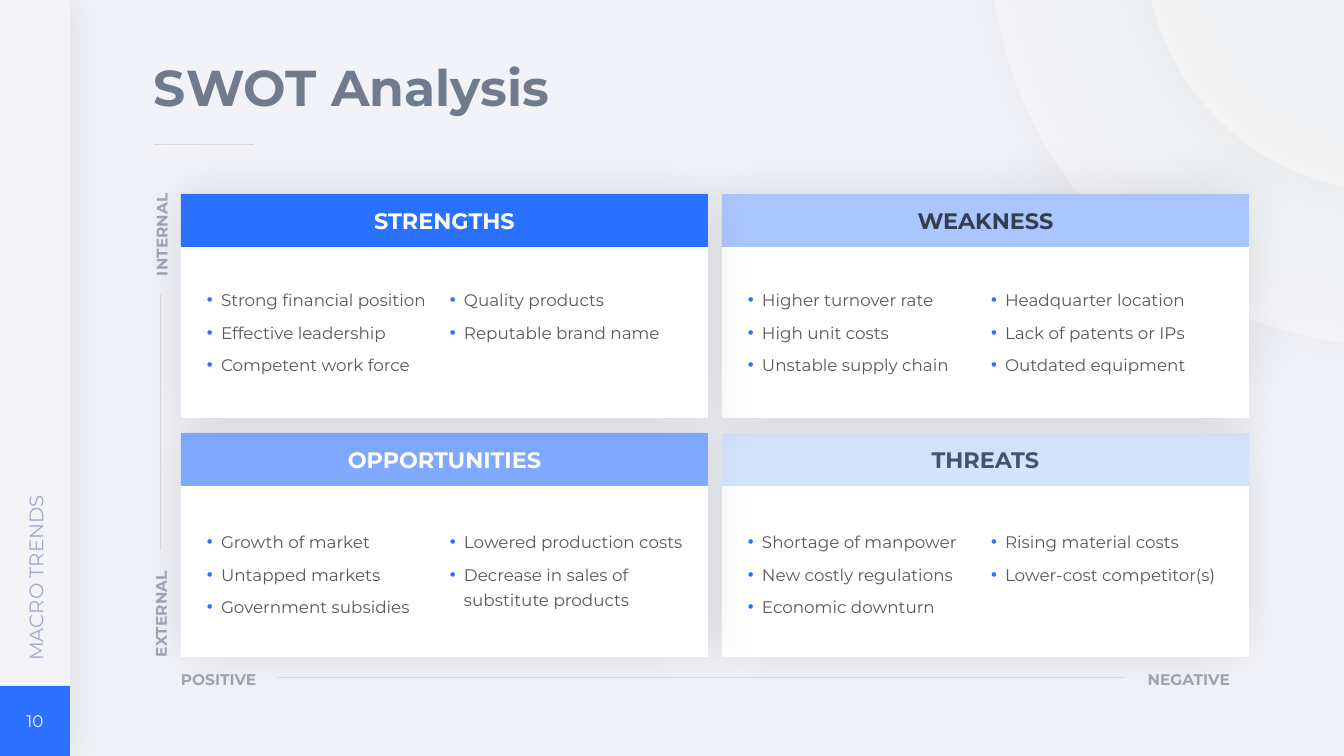
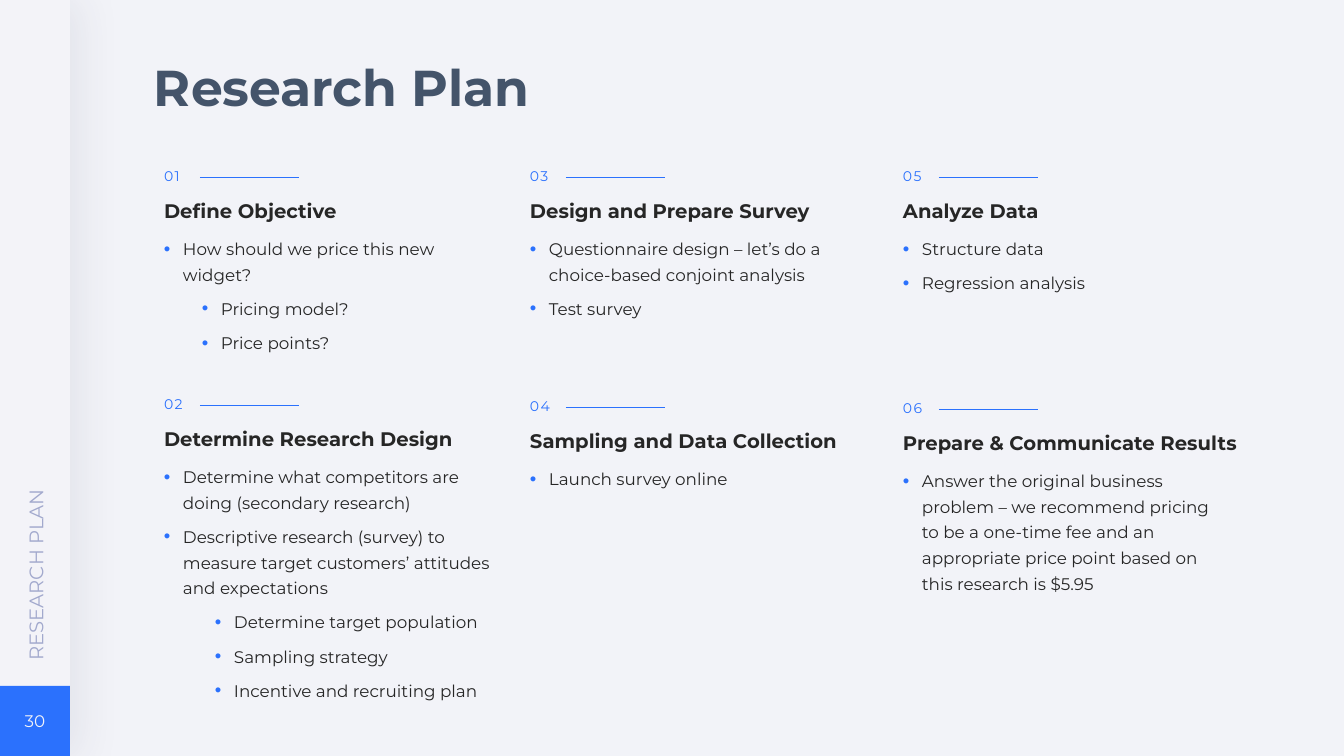
from lxml.etree import SubElement
from pptx import Presentation
from pptx.dml.color import RGBColor
from pptx.enum.shapes import MSO_CONNECTOR, MSO_SHAPE
from pptx.enum.text import MSO_ANCHOR, PP_ALIGN
from pptx.oxml.ns import qn
from pptx.util import Emu, Pt

# Shared style
EMU_PER_PX = 914400 / 100.8
SLIDE_SIZE = (1344, 756)
FONT = "Montserrat"
BACKGROUND, SIDEBAR, WHITE = "F2F3F8", "F3F3F8", "FFFFFF"
BLUE, SECTION_COLOR, RULE, AXIS = "2B71FD", "A2A9CD", "D9D9D9", "9BA3B1"
SLATE, INK, BODY = "44546A", "262626", "595959"
SIDEBAR_WIDTH = 70
# Shadows: colour, opacity %, blur pt, distance pt, direction in degrees
SIDEBAR_SHADOW = ("2B3150", 7, 30, 7, 0)
CARD_SHADOW = ("000000", 10, 40, 3, 225)
RING_SHADOW = ("000000", 10, 60, 0, 0)
FLAT = (0, 5, 0, 5)
LEFT, CENTER, RIGHT = PP_ALIGN.LEFT, PP_ALIGN.CENTER, PP_ALIGN.RIGHT

# SWOT content: column, row, title, header colour, title colour, two lists
CARDS = [
    (1, 1, "THREATS", "D5E3FF", SLATE,
     (["Shortage of manpower", "New costly regulations", "Economic downturn"],
      ["Rising material costs", "Lower-cost competitor(s)"])),
    (1, 0, "WEAKNESS", "AAC6FE", "333F50",
     (["Higher turnover rate", "High unit costs", "Unstable supply chain"],
      ["Headquarter location", "Lack of patents or IPs", "Outdated equipment"])),
    (0, 1, "OPPORTUNITIES", "80AAFE", WHITE,
     (["Growth of market", "Untapped markets", "Government subsidies"],
      ["Lowered production costs", "Decrease in sales of substitute products"])),
    (0, 0, "STRENGTHS", "2B71FF", WHITE,
     (["Strong financial position", "Effective leadership", "Competent work force"],
      ["Quality products", "Reputable brand name"])),
]
CARD_LEFT, CARD_TOP, CARD_WIDTH, CARD_HEIGHT = 181, 194, 527, 224
COLUMN_STEP, ROW_STEP, HEADER_HEIGHT = 541, 239, 53
LIST_TOPS, LIST_INDENT, LIST_STEP = (280, 522), 21, 243
RING_CENTER, RING_DIAMETERS = (1395, -59), (810, 502)
# Axis labels: text, box, alignment, rotation
AXIS_LABELS = [
    ("INTERNAL", (115, 217, 95, 48), RIGHT, 270),
    ("EXTERNAL", (107, 578, 110, 48), LEFT, 270),
    ("POSITIVE", (181, 656, 157, 48), LEFT, 0),
    ("NEGATIVE", (1073, 656, 157, 48), RIGHT, 0),
]
SWOT_RULES = [((154, 144), (254, 144)), ((160, 294), (160, 550)),
              ((277, 677), (1125, 677))]

# Research steps: left, top, title, items, sub-items, sub-item indent
STEPS = [
    (154, 163, "Define Objective", ["How should we price this new widget?"],
     ["Pricing model?", "Price points?"], 57),
    (154, 391, "Determine Research Design",
     ["Determine what competitors are doing (secondary research)",
      "Descriptive research (survey) to measure target customers’ attitudes "
      "and expectations"],
     ["Determine target population", "Sampling strategy",
      "Incentive and recruiting plan"], 70),
    (520, 163, "Design and Prepare Survey",
     ["Questionnaire design – let’s do a choice-based conjoint analysis",
      "Test survey"], [], 0),
    (520, 393, "Sampling and Data Collection", ["Launch survey online"], [], 0),
    (893, 163, "Analyze Data", ["Structure data", "Regression analysis"], [], 0),
    (893, 395, "Prepare & Communicate Results",
     ["Answer the original business problem – we recommend pricing to be a "
      "one-time fee and an appropriate price point based on this research is "
      "$5.95"], [], 0),
]


def px(value):
    return Emu(round(value * EMU_PER_PX))


def color(hex_code):
    return RGBColor.from_string(hex_code)


def add_box(slide, kind, box, fill, shadow=None, opacity=None):
    shape = slide.shapes.add_shape(kind, *map(px, box))
    shape.fill.solid()
    shape.fill.fore_color.rgb = color(fill)
    shape.line.fill.background()
    shape.shadow.inherit = False
    properties = shape._element.spPr
    if opacity:
        solid = properties.find(qn("a:solidFill")).find(qn("a:srgbClr"))
        SubElement(solid, qn("a:alpha"), val=str(opacity * 1000))
    if shadow:
        tint, strength, blur, distance, angle = shadow
        outer = SubElement(
            properties.find(qn("a:effectLst")), qn("a:outerShdw"),
            blurRad=str(Pt(blur)), dist=str(Pt(distance)),
            dir=str(angle * 60000), algn="ctr", rotWithShape="0")
        shade = SubElement(outer, qn("a:srgbClr"), val=tint)
        SubElement(shade, qn("a:alpha"), val=str(strength * 1000))
    return shape


def add_rule(slide, start, end, hex_code):
    rule = slide.shapes.add_connector(
        MSO_CONNECTOR.STRAIGHT, *map(px, start + end))
    rule.line.color.rgb = color(hex_code)
    rule.line.width = Pt(0.5)
    SubElement(rule._element.spPr, qn("a:effectLst"))


def write(shape, text, size, hex_code, bold=False, align=LEFT, spacing=None,
          anchor=MSO_ANCHOR.MIDDLE, insets=FLAT, tracking=None):
    frame = shape.text_frame
    frame.word_wrap = True
    frame.vertical_anchor = anchor
    frame.margin_left, frame.margin_top, frame.margin_right, \
        frame.margin_bottom = map(px, insets)
    frame.text = text
    for paragraph in frame.paragraphs:
        paragraph.alignment = align
        paragraph.line_spacing = spacing
        for run in paragraph.runs:
            run.font.name, run.font.size, run.font.bold = FONT, Pt(size), bold
            run.font.color.rgb = color(hex_code)
            if tracking:
                run._r.get_or_add_rPr().set("spc", str(tracking * 100))
    return frame


def add_text(slide, box, text, size, hex_code, rotation=0, **style):
    shape = slide.shapes.add_textbox(*map(px, box))
    shape.rotation = rotation
    return write(shape, text, size, hex_code, **style)


def add_list(slide, box, items, hex_code, indents, hanging, spacing, before,
             insets=FLAT, bullet_size=100):
    frame = add_text(slide, box, "\n".join(items), 12, hex_code, insets=insets,
                     spacing=Pt(spacing), anchor=MSO_ANCHOR.TOP)
    for index, (paragraph, indent) in enumerate(zip(frame.paragraphs, indents)):
        paragraph.level = int(indent > indents[0])
        paragraph.space_before = Pt(before if index else 0)
        paragraph.space_after = Pt(3)
        properties = paragraph._p.get_or_add_pPr()
        properties.set("marL", str(px(indent)))
        properties.set("indent", str(-px(hanging)))
        tint = SubElement(properties, qn("a:buClr"))
        SubElement(tint, qn("a:srgbClr"), val=BLUE)
        SubElement(properties, qn("a:buSzPct"), val=str(bullet_size * 1000))
        SubElement(properties, qn("a:buFont"), typeface="Arial")
        SubElement(properties, qn("a:buChar"), char="•")


def add_slide(presentation):
    slide = presentation.slides.add_slide(presentation.slide_layouts[6])
    slide.background.fill.solid()
    slide.background.fill.fore_color.rgb = color(BACKGROUND)
    return slide


def add_frame(slide, title, title_color, section, number):
    """Sidebar, section name, page number and title."""
    width, height = SIDEBAR_WIDTH, SLIDE_SIZE[1]
    add_box(slide, MSO_SHAPE.RECTANGLE, (0, 0, width, height), SIDEBAR,
            SIDEBAR_SHADOW)
    page = add_box(slide, MSO_SHAPE.RECTANGLE,
                   (0, height - width, width, width), BLUE)
    write(page, number, 12, BACKGROUND, align=CENTER, insets=(0, 0, 0, 0))
    add_text(slide, (-156, 449, 383, 41), section, 14, SECTION_COLOR, rotation=270)
    add_text(slide, (154, 58, 986, 84), title, 36, title_color, bold=True,
             spacing=0.9, anchor=MSO_ANCHOR.TOP)


def build_swot(presentation):
    slide = add_slide(presentation)
    # Background rings
    center_x, center_y = RING_CENTER
    for diameter in RING_DIAMETERS:
        radius = diameter // 2
        add_box(slide, MSO_SHAPE.OVAL,
                (center_x - radius, center_y - radius, diameter, diameter),
                WHITE, RING_SHADOW, opacity=44)
    add_frame(slide, "SWOT Analysis", "707C8D", "MACRO TRENDS", "10")

    # Cards
    for column, row, title, fill, title_color, lists in CARDS:
        left = CARD_LEFT + column * COLUMN_STEP
        top = CARD_TOP + row * ROW_STEP
        add_box(slide, MSO_SHAPE.RECTANGLE, (left, top, CARD_WIDTH, CARD_HEIGHT),
                WHITE, CARD_SHADOW)
        header = add_box(slide, MSO_SHAPE.RECTANGLE,
                         (left, top, CARD_WIDTH, HEADER_HEIGHT), fill)
        write(header, title, 16, title_color, bold=True, align=CENTER,
              spacing=0.9, insets=(0, 3, 0, 0))
        for index, items in enumerate(lists):
            list_left = left + LIST_INDENT + index * LIST_STEP
            add_list(slide, (list_left, LIST_TOPS[row], 248, 98), items, BODY,
                     [19] * len(items), 14, spacing=18, before=2)

    # Axes
    for start, end in SWOT_RULES:
        add_rule(slide, start, end, RULE)
    for text, box, align, rotation in AXIS_LABELS:
        add_text(slide, box, text, 11, AXIS, rotation, bold=True, align=align,
                 spacing=0.9)


def build_research_plan(presentation):
    slide = add_slide(presentation)
    add_frame(slide, "Research Plan", SLATE, "RESEARCH PLAN", "30")
    padded = {"insets": (10, 5, 10, 5)}
    for number, step in enumerate(STEPS, 1):
        left, top, title, items, sub_items, sub_indent = step
        add_text(slide, (left, top, 196, 27), f"{number:02}", 10, BLUE,
                 anchor=MSO_ANCHOR.TOP, tracking=1, **padded)
        add_rule(slide, (left + 46, top + 14), (left + 145, top + 14), BLUE)
        add_text(slide, (left, top + 31, 355, 34), title, 14, INK, bold=True,
                 anchor=MSO_ANCHOR.TOP, **padded)
        indents = [19] * len(items) + [sub_indent] * len(sub_items)
        add_list(slide, (left, top + 65, 347, 34 * len(indents)),
                 items + sub_items, INK, indents, 19, spacing=18.4, before=3,
                 bullet_size=110, **padded)


def main():
    presentation = Presentation()
    presentation.slide_width, presentation.slide_height = map(px, SLIDE_SIZE)
    build_swot(presentation)
    build_research_plan(presentation)
    presentation.save("out.pptx")


if __name__ == "__main__":
    main()
